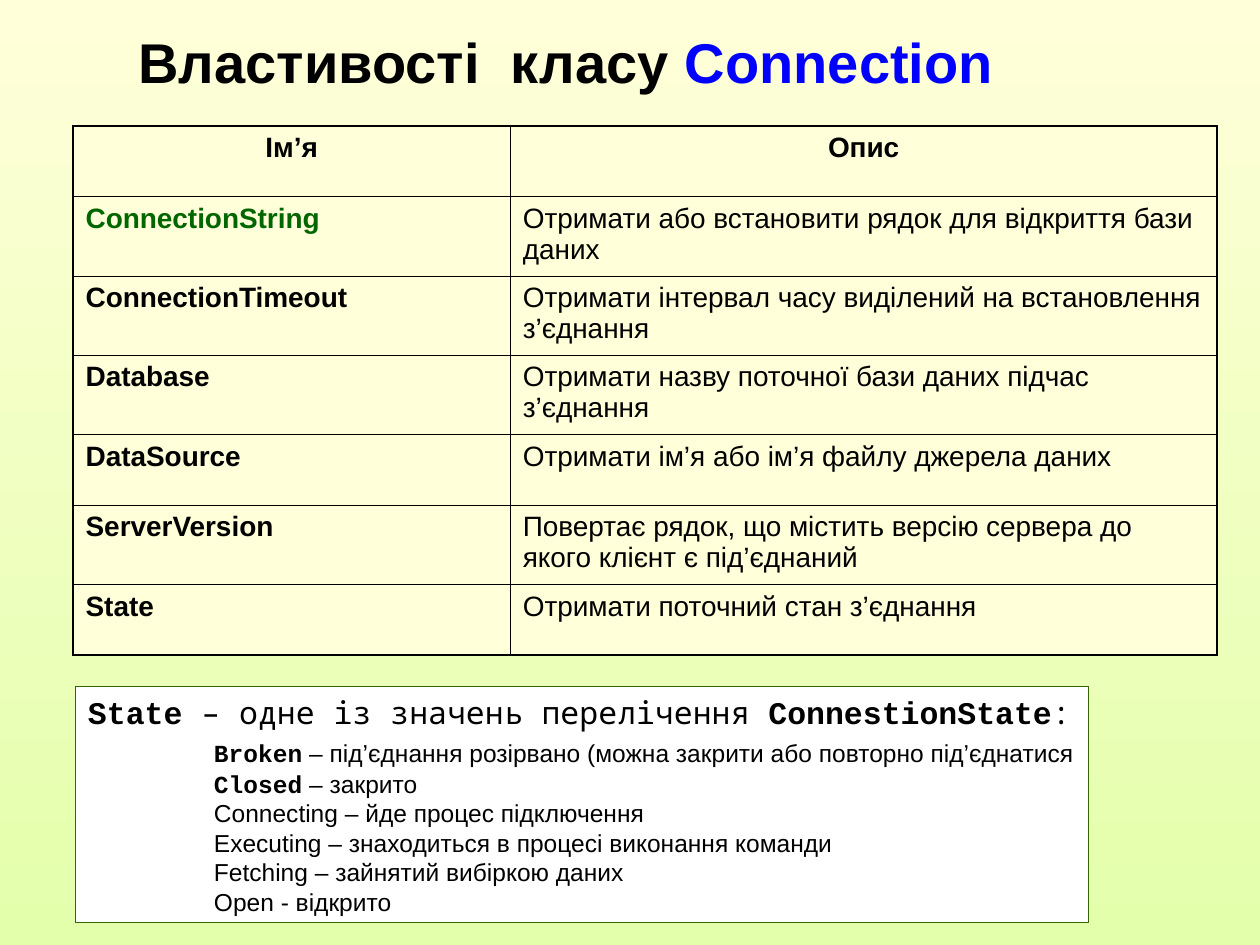
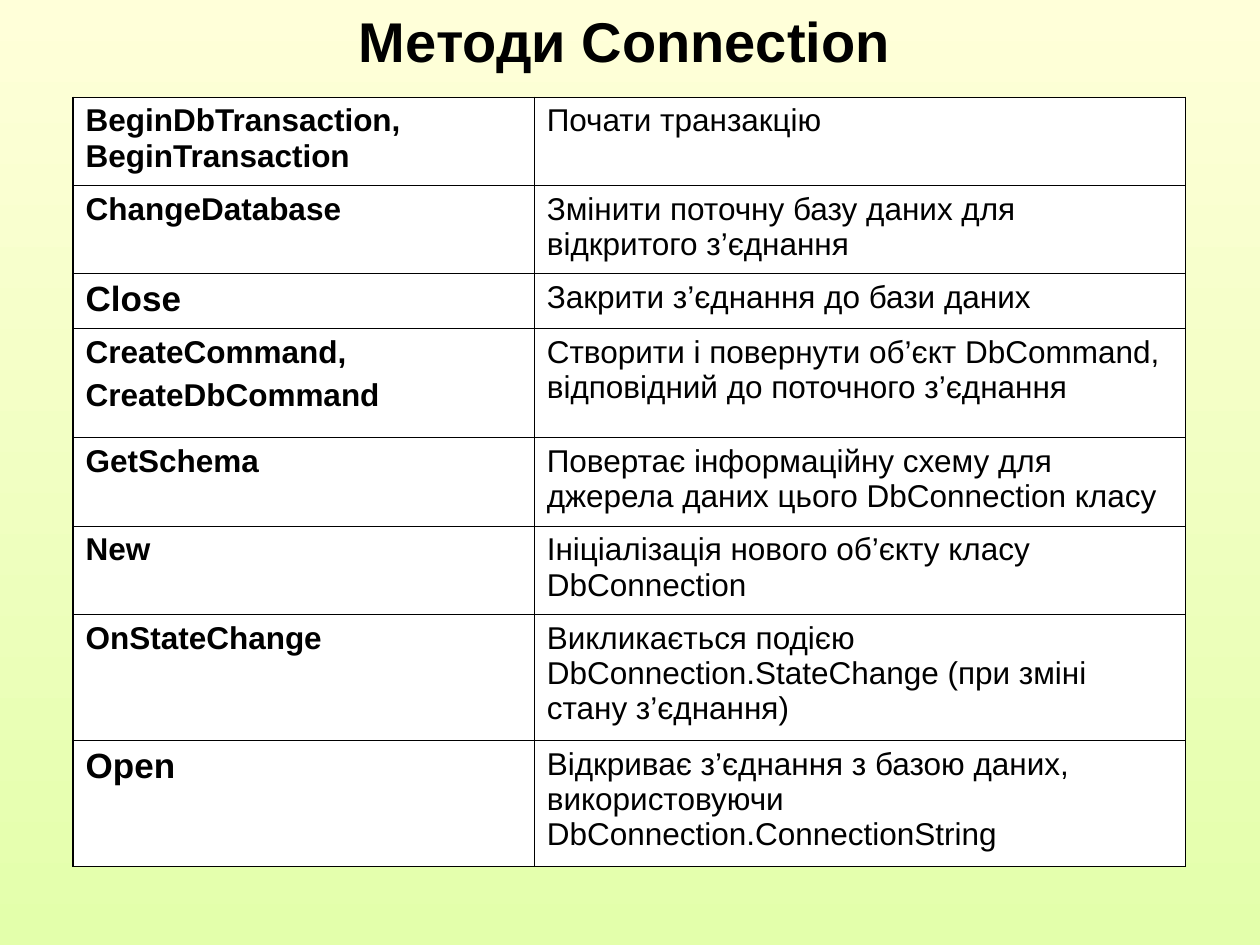
from dataclasses import dataclass

from lxml.etree import SubElement
from pptx import Presentation
from pptx.dml.color import RGBColor
from pptx.enum.shapes import MSO_SHAPE
from pptx.enum.text import MSO_ANCHOR, MSO_AUTO_SIZE, PP_ALIGN
from pptx.oxml.ns import qn
from pptx.presentation import Presentation as Deck
from pptx.slide import Slide
from pptx.util import Emu, Pt

SCALE = 9144  # EMU in one px, at 100 px to the inch
COLORS = {
    "cream": "FFFFD9",
    "lime": "E3FFAB",
    "white": "FFFFFF",
    "black": "000000",
    "blue": "0000FF",
    "green": "006600",
    "olive": "336600",
}
SANS, CODE, MONO = "Arial", "Courier New", "Noto Sans Mono"
THIN, THICK = 0.45, 1.08


@dataclass(frozen=True)
class Span:
    text: str
    size: int
    font: str = SANS
    bold: bool = False
    color: str = "black"


@dataclass(frozen=True)
class Row:
    name: str
    about: str
    height: int
    size: int = 0  # size of the name, if not that of the grid
    color: str = "black"
    head: bool = False


@dataclass(frozen=True)
class Grid:
    top: int
    widths: tuple[int, int]
    size: int
    fill: str
    edge: float  # width of the top border
    rows: tuple[Row, ...]


PROPS = Grid(100, (347, 561), 16, "cream", THICK, (
    Row("Ім’я", "Опис", 56, head=True),
    Row("ConnectionString", "Отримати або встановити рядок для відкриття бази даних",
        63, color="green"),
    Row("ConnectionTimeout",
        "Отримати інтервал часу виділений на встановлення з’єднання", 63),
    Row("Database", "Отримати назву поточної бази даних підчас з’єднання", 63),
    Row("DataSource", "Отримати ім’я або ім’я файлу джерела даних", 56),
    Row("ServerVersion",
        "Повертає рядок, що містить версію сервера до якого клієнт є під’єднаний", 63),
    Row("State", "Отримати поточний стан з’єднання", 56),
))

METHODS = Grid(77, (366, 517), 18, "white", THIN, (
    Row("BeginDbTransaction,\vBeginTransaction", "Почати транзакцію", 70),
    Row("ChangeDatabase", "Змінити поточну базу даних для відкритого з’єднання", 70),
    Row("Close", "Закрити з’єднання до бази даних", 43, size=20),
    Row("CreateCommand,\nCreateDbCommand",
        "Створити і повернути об’єкт DbCommand, відповідний до поточного з’єднання", 87),
    Row("GetSchema",
        "Повертає інформаційну схему для джерела даних цього DbConnection класу", 70),
    Row("New", "Ініціалізація нового об’єкту класу DbConnection", 70),
    Row("OnStateChange",
        "Викликається подією DbConnection.StateChange (при зміні стану з’єднання)", 100),
    Row("Open",
        "Відкриває з’єднання з базою даних, використовуючи DbConnection.ConnectionString",
        100, size=20),
))

STATES = (
    (Span("State", 18, CODE, True),
     Span(" – одне із значень перелічення ", 18, MONO),
     Span("ConnestionState", 18, CODE, True),
     Span(":", 18, MONO)),
    (Span("Broken", 14, CODE, True),
     Span(" – під’єднання розірвано (можна закрити або повторно під’єднатися", 14)),
    (Span("Closed", 14, CODE, True), Span(" – закрито", 14)),
    (Span("Connecting – йде процес підключення", 14),),
    (Span("Executing – знаходиться в процесі виконання команди", 14),),
    (Span("Fetching – зайнятий вибіркою даних", 14),),
    (Span("Open - відкрито", 14),),
)


def px(count: int) -> Emu:
    return Emu(count * SCALE)


def tint(name: str) -> RGBColor:
    return RGBColor.from_string(COLORS[name])


def style(run, size: int, font: str, bold: bool, color: str) -> None:
    run.font.size = Pt(size)
    run.font.name = font
    run.font.bold = bold
    run.font.color.rgb = tint(color)


def write(par, spans: tuple[Span, ...]) -> None:
    for span in spans:
        run = par.add_run()
        run.text = span.text
        style(run, span.size, span.font, span.bold, span.color)


def start(deck: Deck) -> Slide:
    """Add a blank slide with the shared gradient."""
    slide = deck.slides.add_slide(deck.slide_layouts[6])
    fill = slide.background.fill
    fill.gradient()
    fill.gradient_angle = 270
    for stop, name in zip(fill.gradient_stops, ("cream", "lime")):
        stop.color.rgb = tint(name)
    return slide


def title(slide: Slide, left: int, top: int, width: int, *parts: tuple[str, str]) -> None:
    box = slide.shapes.add_textbox(px(left), px(top), px(width), px(64))
    frame = box.text_frame
    frame.word_wrap = True
    frame.auto_size = MSO_AUTO_SIZE.SHAPE_TO_FIT_TEXT
    par = frame.paragraphs[0]
    par.space_before = Pt(20)
    write(par, tuple(Span(text, 32, bold=True, color=color) for text, color in parts))


def border(cell, sides: dict[str, float]) -> None:
    props = cell._tc.get_or_add_tcPr()
    for side, width in sides.items():
        line = SubElement(props, qn(f"a:ln{side}"), w=str(Pt(width)))
        fill = SubElement(line, qn("a:solidFill"))
        SubElement(fill, qn("a:srgbClr"), val=COLORS["black"])


def table(slide: Slide, grid: Grid) -> None:
    count = len(grid.rows)
    height = sum(row.height for row in grid.rows)
    item = slide.shapes.add_table(
        count, 2, px(58), px(grid.top), px(sum(grid.widths)), px(height)).table
    item.first_row = item.horz_banding = False
    for col, width in zip(item.columns, grid.widths):
        col.width = px(width)
    for i, row in enumerate(grid.rows):
        item.rows[i].height = px(row.height)
        for j, text in enumerate((row.name, row.about)):
            cell = item.cell(i, j)
            border(cell, {
                "L": THIN if j else THICK,
                "R": THICK if j else THIN,
                "T": THIN if i else grid.edge,
                "B": THICK if i == count - 1 else THIN,
            })
            cell.fill.solid()
            cell.fill.fore_color.rgb = tint(grid.fill)
            cell.text_frame.text = text
            size = grid.size if j else row.size or grid.size
            for par in cell.text_frame.paragraphs:
                par.space_before = Pt(size / 4)
                par.alignment = PP_ALIGN.CENTER if row.head else PP_ALIGN.LEFT
                for run in par.runs:
                    style(run, size, SANS, j == 0 or row.head,
                          "black" if j else row.color)


def panel(slide: Slide) -> None:
    """Draw the framed list of connection states."""
    box = slide.shapes.add_shape(
        MSO_SHAPE.RECTANGLE, px(60), px(545), px(804), px(187))
    box.shadow.inherit = False
    box.fill.solid()
    box.fill.fore_color.rgb = tint("white")
    box.line.color.rgb = tint("olive")
    box.line.width = Pt(0.75)
    frame = box.text_frame
    frame.word_wrap = False
    frame.auto_size = MSO_AUTO_SIZE.SHAPE_TO_FIT_TEXT
    frame.vertical_anchor = MSO_ANCHOR.MIDDLE
    for i, spans in enumerate(STATES):
        par = frame.add_paragraph() if i else frame.paragraphs[0]
        par.alignment = PP_ALIGN.LEFT
        write(par, spans)
        if i:
            par._p.get_or_add_pPr().set("marL", str(px(100)))
        if i == 1:
            par.space_before, par.space_after = Pt(4), Pt(1)


def main() -> None:
    deck = Presentation()
    deck.slide_width, deck.slide_height = px(1000), px(750)

    props = start(deck)
    table(props, PROPS)
    title(props, 100, 17, 775, ("Властивості  класу ", "black"), ("Connection", "blue"))
    panel(props)

    methods = start(deck)
    table(methods, METHODS)
    title(methods, 275, 0, 608, ("Методи Connection", "black"))

    deck.save("out.pptx")


if __name__ == "__main__":
    main()
